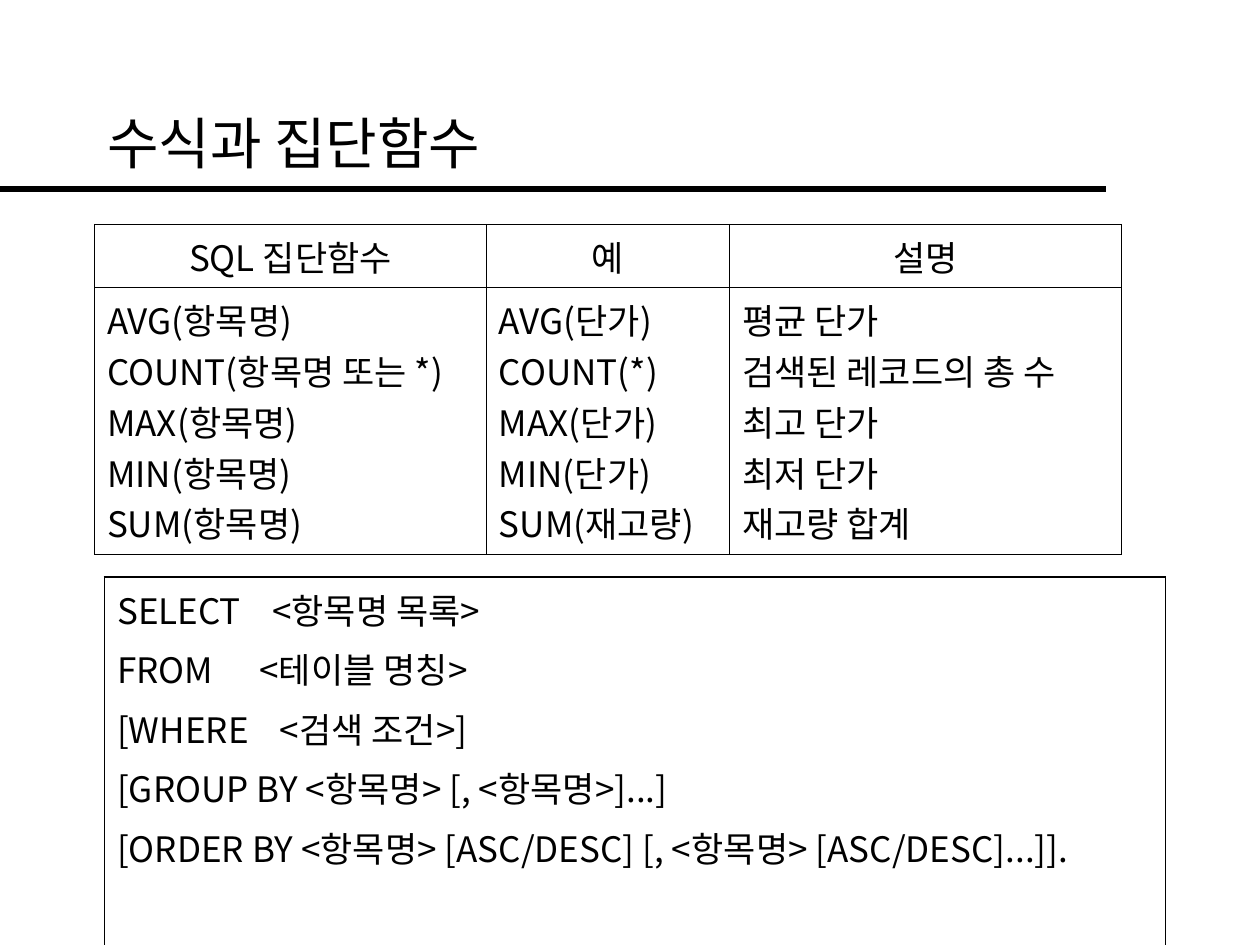
"""Build the slide on SQL expressions and aggregate functions."""
from lxml.etree import SubElement
from pptx import Presentation
from pptx.dml.color import RGBColor
from pptx.enum.shapes import MSO_CONNECTOR as Connector
from pptx.enum.text import MSO_ANCHOR as Anchor, MSO_AUTO_SIZE as AutoSize, PP_ALIGN as Align
from pptx.oxml import parse_xml
from pptx.oxml.ns import nsdecls, qn
from pptx.util import Inches, Pt

FONT = "Noto Sans CJK KR"
BLACK = "000000"


def write(paragraph, text, size, align=Align.LEFT):
    run = paragraph.add_run()
    run.text = text
    paragraph.alignment = align
    formats = {"name": FONT, "size": Pt(size), "bold": False}
    for key, value in formats.items():
        setattr(run.font, key, value)
    run.font.color.rgb = RGBColor.from_string(BLACK)
    SubElement(run.font._element, qn("a:ea"), typeface=FONT)


def add_grid(left, top, widths, heights, border):
    grid = slide.shapes.add_table(
        len(heights), len(widths), Inches(left), Inches(top),
        Inches(sum(widths)), Inches(sum(heights))).table
    grid.first_row = grid.horz_banding = False
    for column, width in zip(grid.columns, widths):
        column.width = Inches(width)
    for row, height in zip(grid.rows, heights):
        row.height = Inches(height)
    for cell in grid.iter_cells():
        properties = cell._tc.get_or_add_tcPr()
        for side in "LRTB":
            properties.append(parse_xml(
                f'<a:ln{side} {nsdecls("a")} w="{Pt(border)}"><a:solidFill>'
                f'<a:srgbClr val="{BLACK}"/></a:solidFill></a:ln{side}>'))
        cell.fill.background()
    return grid


deck = Presentation()
deck.slide_width, deck.slide_height = Inches(10), Inches(7.5)
slide = deck.slides.add_slide(deck.slide_layouts[5])

rule = slide.shapes.add_connector(
    Connector.STRAIGHT, Inches(0), Inches(1.5), Inches(8.78), Inches(1.5))
rule.line.width = Pt(4)
rule.line.color.rgb = RGBColor.from_string(BLACK)
SubElement(rule._element.spPr, qn("a:effectLst"))

title = slide.shapes.title
title_box = {"left": 0.75, "top": 0.5, "width": 8.5, "height": 1.25}
for key, value in title_box.items():
    setattr(title, key, Inches(value))
title.text_frame.vertical_anchor = Anchor.MIDDLE
title.text_frame.auto_size = AutoSize.NONE
write(title.text_frame.paragraphs[0], "수식과 집단함수", 32)

functions = [
    ("SQL 집단함수", ["AVG(항목명)", "COUNT(항목명 또는 *)", "MAX(항목명)",
                  "MIN(항목명)", "SUM(항목명)"]),
    ("예", ["AVG(단가)", "COUNT(*)", "MAX(단가)", "MIN(단가)", "SUM(재고량)"]),
    ("설명", ["평균 단가", "검색된 레코드의 총 수", "최고 단가", "최저 단가", "재고량 합계"]),
]
function_grid = add_grid(0.75, 1.78, [3.11, 1.93, 3.11], [0.48, 1.8], 0.45)
for column, (heading, entries) in enumerate(functions):
    for row, (lines, align) in enumerate([([heading], Align.CENTER), (entries, Align.LEFT)]):
        frame = function_grid.cell(row, column).text_frame
        for index, line in enumerate(lines):
            paragraph = frame.add_paragraph() if index else frame.paragraphs[0]
            indent = paragraph._p.get_or_add_pPr()
            indent.set("marL", str(Inches(0.38)))
            indent.set("indent", str(Inches(-0.38)))
            write(paragraph, line, 20, align)

clauses = [
    ("SELECT\t<항목명 목록>", 1.23),
    ("FROM\t<테이블 명칭>", 1.13),
    ("[WHERE\t<검색 조건>]", 1.29),
    ("[GROUP BY <항목명> [, <항목명>]...]", None),
    ("[ORDER BY <항목명> [ASC/DESC] [, <항목명> [ASC/DESC]...]].", None),
]
syntax = add_grid(0.83, 4.58, [8.42], [3.71], 1.08).cell(0, 0).text_frame
for index, (clause, tab_stop) in enumerate(clauses):
    paragraph = syntax.add_paragraph() if index else syntax.paragraphs[0]
    if index:
        paragraph.space_before = Pt(5)
    if tab_stop:
        tabs = SubElement(paragraph._p.get_or_add_pPr(), qn("a:tabLst"))
        SubElement(tabs, qn("a:tab"), pos=str(Inches(tab_stop)), algn="l")
    write(paragraph, clause, 20)

deck.save("out.pptx")
